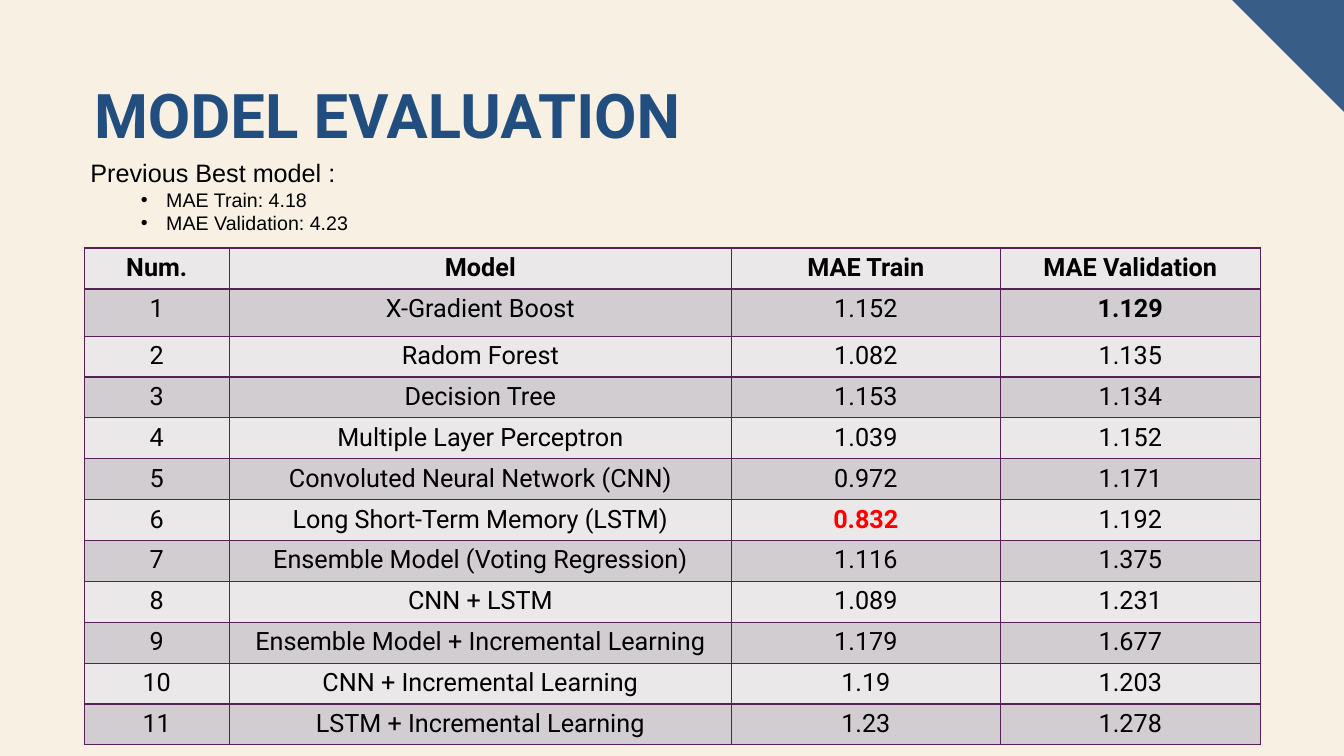
from lxml.etree import SubElement
from pptx import Presentation
from pptx.dml.color import RGBColor
from pptx.enum.text import MSO_ANCHOR, PP_ALIGN
from pptx.oxml.ns import qn
from pptx.util import Cm, Pt

CREAM = RGBColor(0xF8, 0xF0, 0xE3)
CORNER_BLUE = RGBColor(0x38, 0x5E, 0x88)
TITLE_BLUE = RGBColor(0x22, 0x4E, 0x7F)
LIGHT_ROW = RGBColor(0xEA, 0xE8, 0xE9)
DARK_ROW = RGBColor(0xD1, 0xCD, 0xD1)
BORDER_PURPLE = RGBColor(0x58, 0x21, 0x56)
BLACK = RGBColor(0, 0, 0)
RED = RGBColor(0xFF, 0, 0)

SLIDE_WIDTH, SLIDE_HEIGHT = Cm(33.87), Cm(19.05)

HEADINGS = ("Num.", "Model", "MAE Train", "MAE Validation")
RESULTS = [
    ("X-Gradient Boost", "1.152", "1.129"),
    ("Radom Forest", "1.082", "1.135"),
    ("Decision Tree", "1.153", "1.134"),
    ("Multiple Layer Perceptron", "1.039", "1.152"),
    ("Convoluted Neural Network (CNN)", "0.972", "1.171"),
    ("Long Short-Term Memory (LSTM)", "0.832", "1.192"),
    ("Ensemble Model (Voting Regression)", "1.116", "1.375"),
    ("CNN + LSTM", "1.089", "1.231"),
    ("Ensemble Model + Incremental Learning", "1.179", "1.677"),
    ("CNN + Incremental Learning", "1.19", "1.203"),
    ("LSTM + Incremental Learning", "1.23", "1.278"),
]
BEST_TRAIN, BEST_VALIDATION = (6, 2), (1, 3)  # (row, column)
COLUMN_WIDTHS = (Cm(3.66), Cm(12.65), Cm(6.78), Cm(6.55))
ROW_HEIGHT, FIRST_RESULT_HEIGHT = Cm(1.03), Cm(1.19)


def add_run(paragraph, text, size, font, color=BLACK, bold=False):
    run = paragraph.add_run()
    run.text = text
    run.font.size = Pt(size)
    run.font.name = font
    run.font.bold = bold
    run.font.color.rgb = color


def add_frame(slide, left, top, width, height):
    frame = slide.shapes.add_textbox(left, top, width, height).text_frame
    frame.word_wrap = True
    return frame


def add_bullet(paragraph):
    properties = paragraph._p.get_or_add_pPr()
    properties.set("marL", str(Cm(1.91)))
    properties.set("indent", str(-Cm(0.64)))
    SubElement(properties, qn("a:buFont"), typeface="Arial")
    SubElement(properties, qn("a:buChar"), char="•")


def add_borders(cell):
    properties = cell._tc.get_or_add_tcPr()
    for side in ("a:lnL", "a:lnR", "a:lnT", "a:lnB"):
        line = SubElement(properties, qn(side), w=str(Pt(1)))
        fill = SubElement(line, qn("a:solidFill"))
        SubElement(fill, qn("a:srgbClr"), val=str(BORDER_PURPLE))


def draw_corner(slide, left, top, side):
    right = left + side
    builder = slide.shapes.build_freeform(left, top)
    builder.add_line_segments([(right, top), (right, top + side)], close=True)
    corner = builder.convert_to_shape()
    corner.shadow.inherit = False
    corner.fill.solid()
    corner.fill.fore_color.rgb = CORNER_BLUE
    corner.line.fill.background()


def draw_title(slide, left, top, width, height):
    frame = add_frame(slide, left, top, width, height)
    frame.vertical_anchor = MSO_ANCHOR.MIDDLE
    title = frame.paragraphs[0]
    title.line_spacing = 0.9
    add_run(title, "MODEL EVALUATION", 44, "Roboto", TITLE_BLUE, True)


def draw_previous_best(slide, left, top, width, height):
    frame = add_frame(slide, left, top, width, height)
    heading = frame.paragraphs[0]
    heading.alignment = PP_ALIGN.JUSTIFY
    add_run(heading, "Previous Best model :", 18, "Arial")
    for score in ("MAE Train: 4.18", "MAE Validation: 4.23"):
        item = frame.add_paragraph()
        item.level = 1
        item.alignment = PP_ALIGN.JUSTIFY
        add_bullet(item)
        add_run(item, score, 14, "Arial")


def draw_results(slide, left, top, width, height):
    rows = [HEADINGS]
    rows += [(str(number), *result) for number, result in enumerate(RESULTS, 1)]
    table = slide.shapes.add_table(
        len(rows), len(HEADINGS), left, top, width, height).table
    table.first_row = table.horz_banding = False
    for column, column_width in zip(table.columns, COLUMN_WIDTHS):
        column.width = column_width
    for r, texts in enumerate(rows):
        table.rows[r].height = FIRST_RESULT_HEIGHT if r == 1 else ROW_HEIGHT
        for c, text in enumerate(texts):
            cell = table.cell(r, c)
            add_borders(cell)
            cell.fill.solid()
            cell.fill.fore_color.rgb = DARK_ROW if r % 2 else LIGHT_ROW
            paragraph = cell.text_frame.paragraphs[0]
            paragraph.alignment = PP_ALIGN.CENTER
            color = RED if (r, c) == BEST_TRAIN else BLACK
            bold = r == 0 or (r, c) in (BEST_TRAIN, BEST_VALIDATION)
            add_run(paragraph, text, 18, "Roboto", color, bold)


def main():
    presentation = Presentation()
    presentation.slide_width = SLIDE_WIDTH
    presentation.slide_height = SLIDE_HEIGHT
    slide = presentation.slides.add_slide(presentation.slide_layouts[6])
    slide.background.fill.solid()
    slide.background.fill.fore_color.rgb = CREAM

    # Corner decoration and title
    corner_side = Cm(2.82)
    draw_corner(slide, SLIDE_WIDTH - corner_side, 0, corner_side)
    draw_title(slide, Cm(2.12), Cm(1.98), Cm(29.64), Cm(2))

    # Model results, with the earlier scores above them
    draw_results(slide, Cm(2.12), Cm(6.25), Cm(29.64), Cm(12.52))
    draw_previous_best(slide, Cm(2.03), Cm(3.84), Cm(20.5), Cm(2.29))

    presentation.save("out.pptx")


if __name__ == "__main__":
    main()
